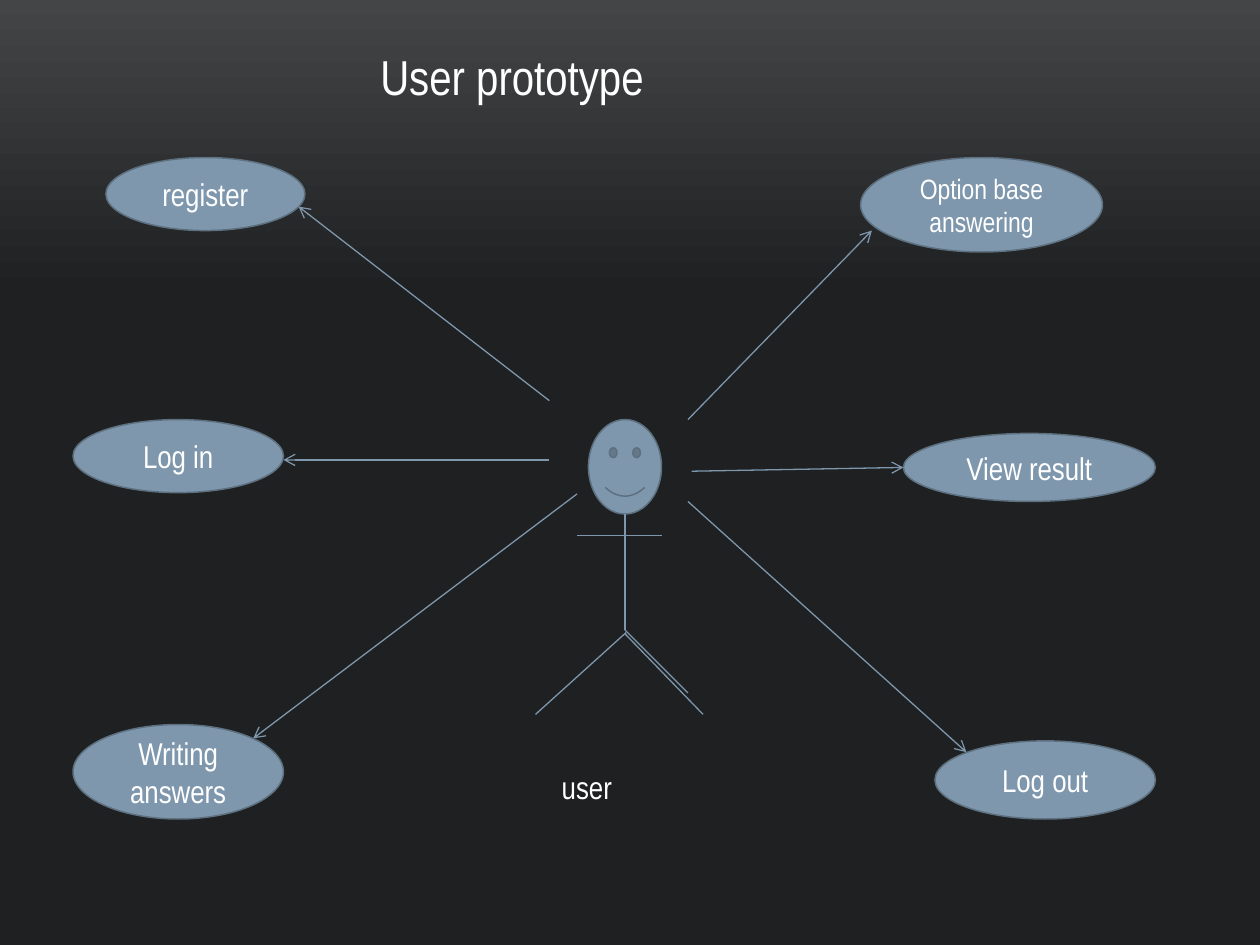
from copy import deepcopy

from lxml.etree import SubElement
from pptx import Presentation
from pptx.dml.color import RGBColor
from pptx.enum.shapes import MSO_CONNECTOR, MSO_SHAPE
from pptx.enum.text import MSO_ANCHOR, MSO_AUTO_SIZE, PP_ALIGN
from pptx.oxml.ns import qn
from pptx.util import Inches, Pt

COLORS = {
    "top": "444546",
    "middle": "1E2021",
    "bottom": "1C1E20",
    "accent": "7E97AD",
    "outline": "5D7080",
    "text": "FFFFFF",
}


def rgb(name):
    return RGBColor.from_string(COLORS[name])


class UseCaseSlide:
    """Style and drawing methods for one use case diagram."""

    font = "Arial Narrow"

    def __init__(self, prs):
        self.s = prs.slides.add_slide(prs.slide_layouts[6])

    def background(self, stops):
        fill = self.s.background.fill
        fill.gradient()
        fill.gradient_angle = 270
        gs_list = self.s.element.find(".//" + qn("a:gsLst"))
        while len(gs_list) < len(stops):
            gs_list.append(deepcopy(gs_list[0]))
        for stop, (position, color) in zip(fill.gradient_stops, stops):
            stop.position = position
            stop.color.rgb = rgb(color)

    def add_text(self, tf, text, size):
        tf.word_wrap = True
        p = tf.paragraphs[0]
        r = p.add_run()
        r.text = text
        r.font.name = self.font
        r.font.size = Pt(size)
        r.font.color.rgb = rgb("text")
        return p

    def shape(self, kind, box):
        sp = self.s.shapes.add_shape(kind, *map(Inches, box))
        sp.shadow.inherit = False
        sp.fill.solid()
        sp.fill.fore_color.rgb = rgb("accent")
        sp.line.color.rgb = rgb("outline")
        sp.line.width = Pt(0.85)
        return sp

    def use_case(self, text, box, size=18):
        tf = self.shape(MSO_SHAPE.OVAL, box).text_frame
        tf.vertical_anchor = MSO_ANCHOR.MIDDLE
        self.add_text(tf, text, size).alignment = PP_ALIGN.CENTER

    def line(self, start, end, arrow=False):
        cx = self.s.shapes.add_connector(
            MSO_CONNECTOR.STRAIGHT, *map(Inches, start + end))
        cx.line.color.rgb = rgb("accent")
        cx.line.width = Pt(0.75)
        sp_pr = cx.element.spPr
        if arrow:
            SubElement(sp_pr.find(qn("a:ln")), qn("a:tailEnd"), type="arrow")
        SubElement(sp_pr, qn("a:effectLst"))

    def label(self, text, box, size):
        tf = self.s.shapes.add_textbox(*map(Inches, box)).text_frame
        self.add_text(tf, text, size)
        tf.auto_size = MSO_AUTO_SIZE.SHAPE_TO_FIT_TEXT


def main():
    prs = Presentation()
    prs.slide_width, prs.slide_height = Inches(10), Inches(7.5)
    diagram = UseCaseSlide(prs)
    diagram.background([(0, "top"), (0.31, "middle"), (1, "bottom")])

    # Stick figure: head, then body, arms and legs
    diagram.shape(MSO_SHAPE.SMILEY_FACE, (4.67, 3.33, 0.58, 0.75))
    limbs = [
        ((4.96, 4.08), (4.96, 5)),
        ((4.58, 4.25), (5.25, 4.25)),
        ((4.96, 5), (5.46, 5.5)),
        ((4.96, 5.03), (5.58, 5.67)),
        ((4.25, 5.67), (4.97, 5.02)),
    ]
    for start, end in limbs:
        diagram.line(start, end)

    # Use cases: text, box, font size, arrow start and end
    use_cases = [
        ("register", (0.84, 1.25, 1.58, 0.58), 18, (4.36, 3.18), (2.37, 1.64)),
        ("Log in", (0.58, 3.33, 1.67, 0.58), 18, (4.36, 3.65), (2.25, 3.65)),
        ("Writing answers", (0.58, 5.75, 1.67, 0.75), 18,
         (4.58, 3.92), (2.01, 5.86)),
        ("Option base answering", (6.83, 1.25, 1.92, 0.75), 16,
         (5.46, 3.33), (6.92, 1.83)),
        ("View result", (7.17, 3.44, 2, 0.54), 18, (5.49, 3.74), (7.17, 3.71)),
        ("Log out", (7.42, 5.88, 1.75, 0.62), 18, (5.46, 3.98), (7.67, 5.97)),
    ]
    for text, box, size, start, end in use_cases:
        diagram.use_case(text, box, size)
        diagram.line(start, end, arrow=True)

    # Title and actor name
    diagram.label("User prototype", (2.92, 0.32, 3.65, 0.57), 28)
    diagram.label("user", (4.36, 6.05, 1.5, 0.4), 18)

    prs.save("out.pptx")


if __name__ == "__main__":
    main()
